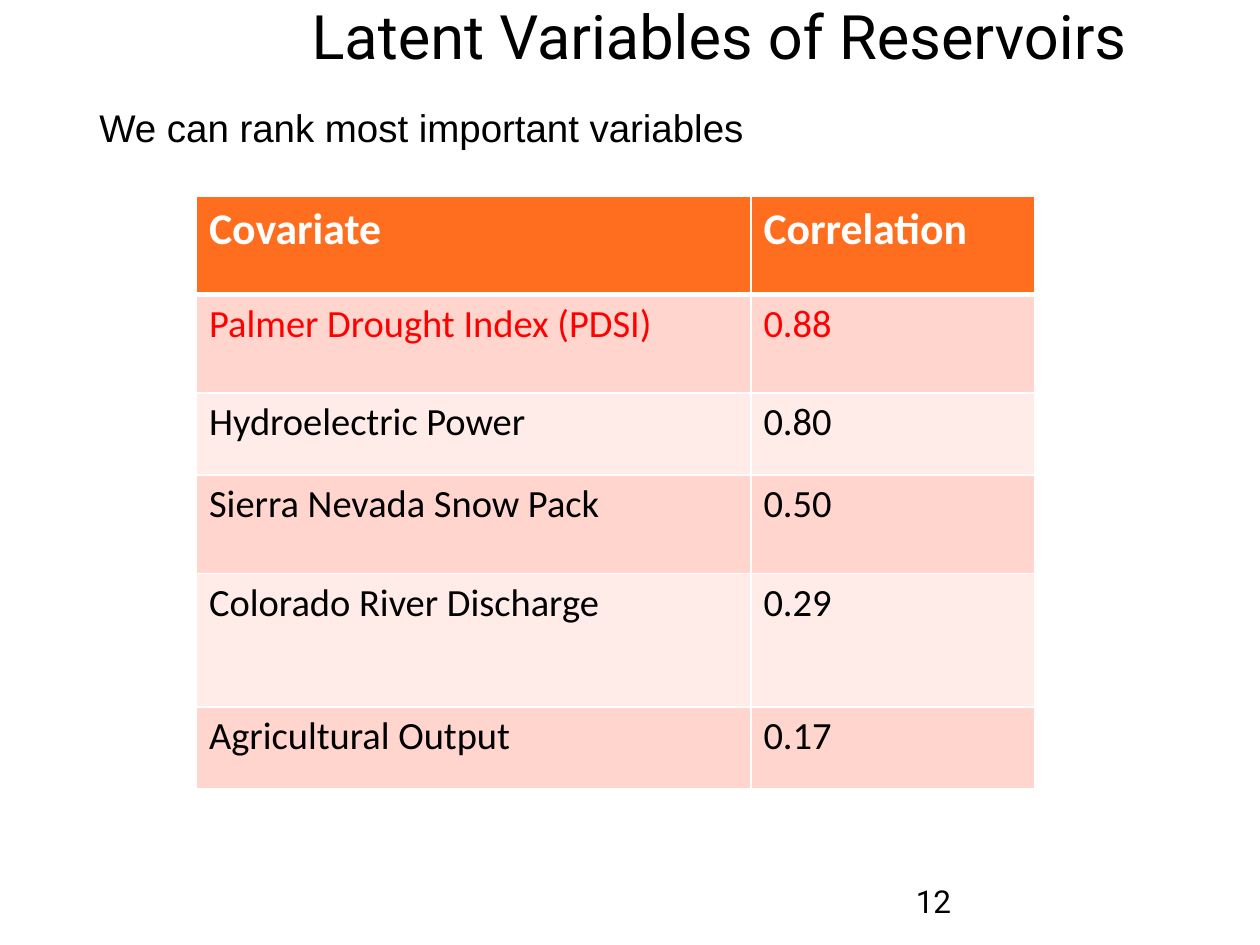
from lxml import etree
from pptx import Presentation
from pptx.dml.color import RGBColor
from pptx.enum.text import MSO_ANCHOR, PP_ALIGN
from pptx.oxml.ns import qn
from pptx.util import Inches, Pt

BLACK = RGBColor(0x00, 0x00, 0x00)
WHITE = RGBColor(0xFF, 0xFF, 0xFF)
RED = RGBColor(0xFF, 0x00, 0x00)
ORANGE = RGBColor(0xFF, 0x6E, 0x1E)
BAND_DARK = RGBColor(0xFF, 0xD5, 0xCD)
BAND_LIGHT = RGBColor(0xFF, 0xEB, 0xE8)


def write_text(frame, text, font="Calibri", size=22, color=BLACK,
               bold=False, align=PP_ALIGN.LEFT):
    frame.word_wrap = True
    paragraph = frame.paragraphs[0]
    paragraph.alignment = align
    run = paragraph.add_run()
    run.text = text
    run.font.name = font
    run.font.size = Pt(size)
    run.font.bold = bold
    run.font.color.rgb = color


def set_borders(cell, bottom=1, top=1):
    properties = cell._tc.get_or_add_tcPr()
    widths = {"a:lnL": 1, "a:lnR": 1, "a:lnT": top, "a:lnB": bottom}
    # Border lines must come before the cell fill
    for position, (tag, width) in enumerate(widths.items()):
        line = etree.Element(qn(tag), w=str(Pt(width)))
        fill = etree.SubElement(line, qn("a:solidFill"))
        etree.SubElement(fill, qn("a:srgbClr"), val=str(WHITE))
        properties.insert(position, line)


presentation = Presentation()
presentation.slide_width = Inches(10)
presentation.slide_height = Inches(7.5)
slide = presentation.slides.add_slide(presentation.slide_layouts[6])

# Title, lead sentence and page number
text_boxes = [
    ((1.36, -0.06, 8.7, 0.93), "Latent Variables of Reservoirs",
     dict(font="Roboto", size=35, align=PP_ALIGN.CENTER)),
    ((0.69, 0.78, 7.78, 0.75), "We can rank most important variables",
     dict(font="Arial")),
    ((7.17, 6.95, 2.33, 0.4), "12", dict(font="Roboto", size=18)),
]
for place, text, text_format in text_boxes:
    box = slide.shapes.add_textbox(*[Inches(length) for length in place])
    box.text_frame.vertical_anchor = MSO_ANCHOR.TOP
    write_text(box.text_frame, text, **text_format)

# Correlation table
rows = [
    ("Covariate", "Correlation"),
    ("Palmer Drought Index (PDSI)", "0.88"),
    ("Hydroelectric Power", "0.80"),
    ("Sierra Nevada Snow Pack", "0.50"),
    ("Colorado River Discharge", "0.29"),
    ("Agricultural Output", "0.17"),
]
column_widths = [4.4, 2.25]
row_heights = [0.78, 0.78, 0.65, 0.78, 1.06, 0.65]
table = slide.shapes.add_table(
    len(rows), len(column_widths), Inches(1.56), Inches(1.56),
    Inches(sum(column_widths)), Inches(sum(row_heights))).table
for column, width in zip(table.columns, column_widths):
    column.width = Inches(width)
for row, height in zip(table.rows, row_heights):
    row.height = Inches(height)

for row_index, values in enumerate(rows):
    header = row_index == 0
    if header:
        fill_color = ORANGE
        text_format = dict(size=25, color=WHITE, bold=True)
    else:
        fill_color = BAND_DARK if row_index % 2 else BAND_LIGHT
        text_format = dict(color=RED if row_index == 1 else BLACK)
    for column_index, value in enumerate(values):
        cell = table.cell(row_index, column_index)
        cell.fill.solid()
        cell.fill.fore_color.rgb = fill_color
        set_borders(cell, bottom=3 if header else 1,
                    top=3 if row_index == 1 else 1)
        write_text(cell.text_frame, value, **text_format)

presentation.save("out.pptx")
